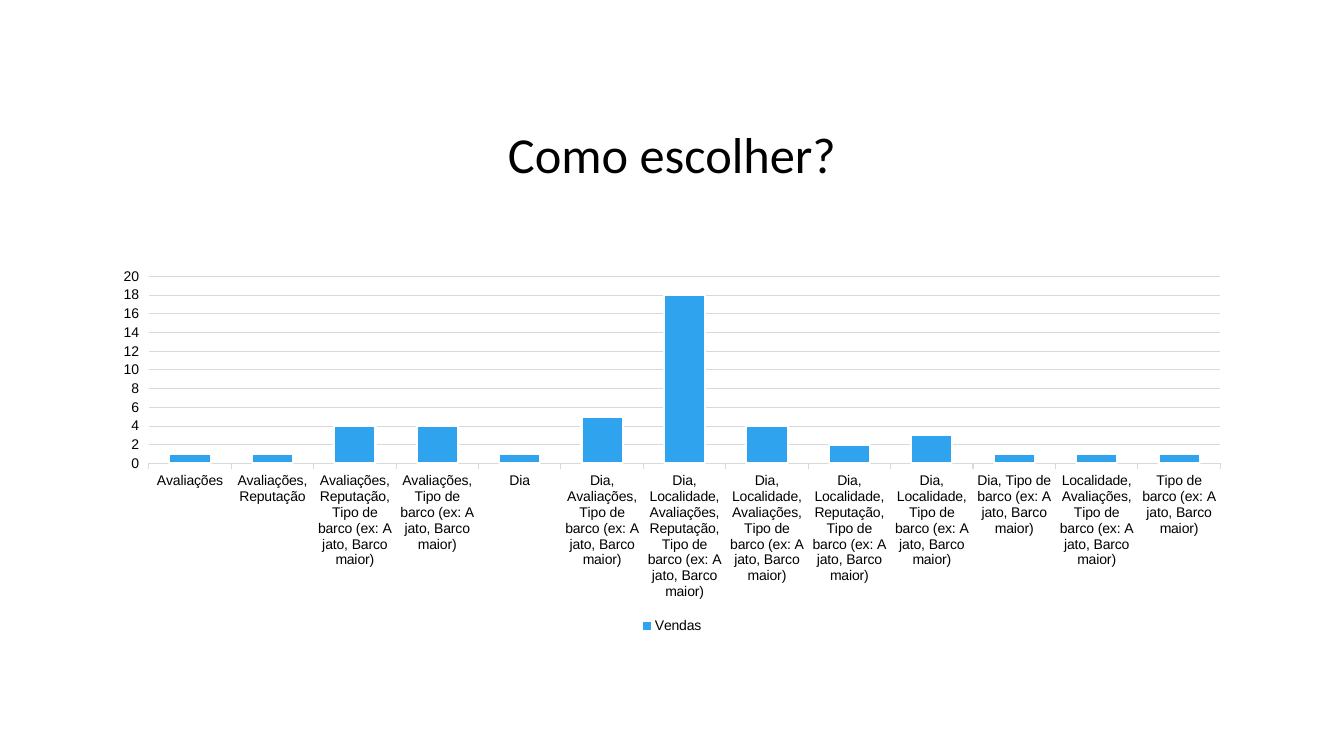
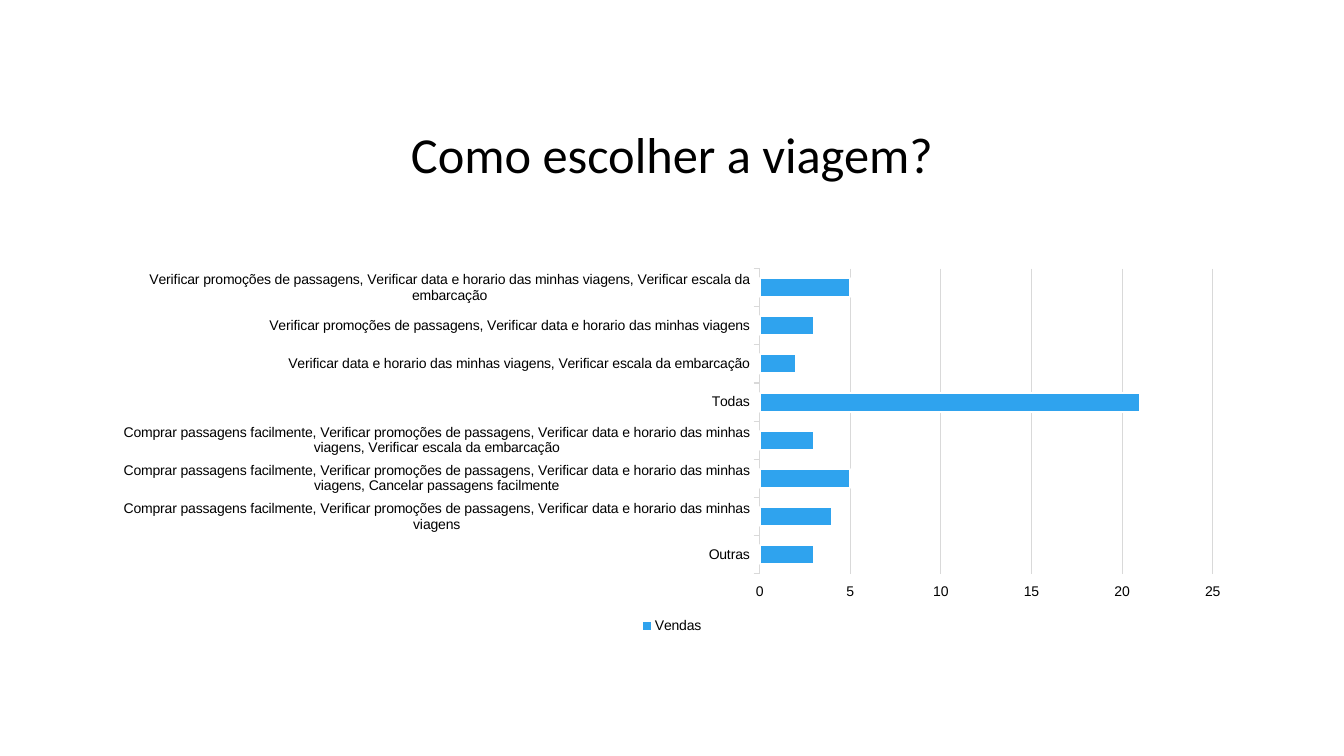
"""Build two survey slides, each with a centred title and a bar chart."""
from pptx import Presentation
from pptx.chart.data import CategoryChartData
from pptx.dml.color import RGBColor
from pptx.enum.chart import XL_CHART_TYPE, XL_LEGEND_POSITION, XL_TICK_MARK
from pptx.enum.text import MSO_ANCHOR, MSO_AUTO_SIZE, PP_ALIGN
from pptx.util import Inches, Pt

TEXT, BAR, GRID, EDGE = "000000", "2FA3EE", "D9D9D9", "FFFFFF"
TITLE_FONT, CHART_FONT = "Calibri", "Arial"
TITLE_BOX = (1, 0.68, 11.33, 1.75)
CHART_BOX = (1, 2.59, 11.33, 3.74)

BOAT = "Tipo de barco (ex: A jato, Barco maior)"
BUY = "Comprar passagens facilmente"
OFFERS = "Verificar promoções de passagens"
DATES = "Verificar data e horario das minhas viagens"
STOPS = "Verificar escala da embarcação"

CHOICES = [
    (("Avaliações",), 1),
    (("Avaliações", "Reputação"), 1),
    (("Avaliações", "Reputação", BOAT), 4),
    (("Avaliações", BOAT), 4),
    (("Dia",), 1),
    (("Dia", "Avaliações", BOAT), 5),
    (("Dia", "Localidade", "Avaliações", "Reputação", BOAT), 18),
    (("Dia", "Localidade", "Avaliações", BOAT), 4),
    (("Dia", "Localidade", "Reputação", BOAT), 2),
    (("Dia", "Localidade", BOAT), 3),
    (("Dia", BOAT), 1),
    (("Localidade", "Avaliações", BOAT), 1),
    ((BOAT,), 1),
]
TRIPS = [
    (("Outras",), 3),
    ((BUY, OFFERS, DATES), 4),
    ((BUY, OFFERS, DATES, "Cancelar passagens facilmente"), 5),
    ((BUY, OFFERS, DATES, STOPS), 3),
    (("Todas",), 21),
    ((DATES, STOPS), 2),
    ((OFFERS, DATES), 3),
    ((OFFERS, DATES, STOPS), 5),
]
PAGES = [
    ("Como escolher?", XL_CHART_TYPE.COLUMN_CLUSTERED, CHOICES, 20, 2),
    ("Como escolher a viagem?", XL_CHART_TYPE.BAR_CLUSTERED, TRIPS, 25, 5),
]


def color(value):
    """Turn a hex string into a colour."""
    return RGBColor.from_string(value)


def style_font(font, name, size):
    """Set the face, size and colour of a font."""
    font.name, font.size = name, Pt(size)
    font.color.rgb = color(TEXT)


def style_line(line, value, width):
    """Give a line a solid colour and a width in points."""
    line.color.rgb = color(value)
    line.width = Pt(width)


def add_title(page, text, box):
    """Place the title placeholder in the box and fill it."""
    title = page.shapes.title
    title.left, title.top, title.width, title.height = map(Inches, box)
    frame = title.text_frame
    frame.word_wrap = True
    frame.auto_size = MSO_AUTO_SIZE.NONE
    frame.vertical_anchor = MSO_ANCHOR.MIDDLE
    para = frame.paragraphs[0]
    para.alignment = PP_ALIGN.CENTER
    para.line_spacing = 0.9
    span = para.add_run()
    span.text = text
    style_font(span.font, TITLE_FONT, 36)


def add_answers_chart(page, kind, answers, top, step, box):
    """Chart the number of votes for each combination of answers."""
    data = CategoryChartData()
    data.categories = [", ".join(parts) for parts, _ in answers]
    data.add_series("Vendas", [votes for _, votes in answers])
    chart = page.shapes.add_chart(kind, *map(Inches, box), data).chart
    style_font(chart.font, CHART_FONT, 10)
    chart.has_title = False
    chart.has_legend = True
    chart.legend.position = XL_LEGEND_POSITION.BOTTOM
    chart.legend.include_in_layout = False

    plot = chart.plots[0]
    plot.gap_width = 100
    plot.vary_by_categories = False
    bars = plot.series[0].format
    bars.fill.solid()
    bars.fill.fore_color.rgb = color(BAR)
    style_line(bars.line, EDGE, 1.5)

    for axis in (chart.category_axis, chart.value_axis):
        axis.major_tick_mark = XL_TICK_MARK.OUTSIDE
        axis.minor_tick_mark = XL_TICK_MARK.NONE
    style_line(chart.category_axis.format.line, GRID, 0.75)
    values = chart.value_axis
    values.minimum_scale, values.maximum_scale = 0, top
    values.major_unit = step
    values.format.line.fill.background()
    values.has_major_gridlines = True
    style_line(values.major_gridlines.format.line, GRID, 0.75)


def add_chart_page(deck, title, kind, answers, top, step):
    """Add a slide with a title above a chart."""
    page = deck.slides.add_slide(deck.slide_layouts[5])
    add_title(page, title, TITLE_BOX)
    add_answers_chart(page, kind, answers, top, step, CHART_BOX)


def main():
    """Build and save the deck."""
    deck = Presentation()
    deck.slide_width, deck.slide_height = Inches(13.33), Inches(7.5)
    for content in PAGES:
        add_chart_page(deck, *content)
    deck.save("out.pptx")


if __name__ == "__main__":
    main()
